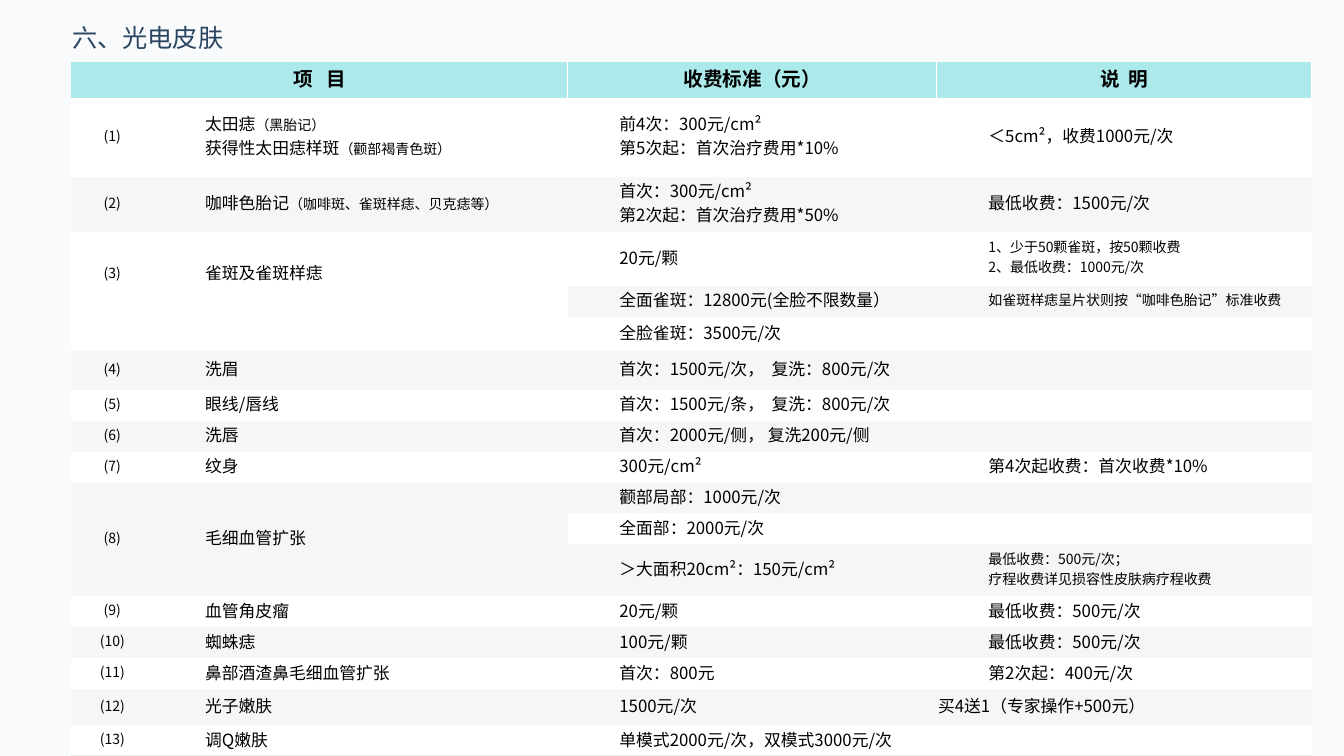
from lxml.etree import SubElement
from pptx import Presentation
from pptx.dml.color import RGBColor
from pptx.enum.text import MSO_ANCHOR as Anchor, PP_ALIGN as Align
from pptx.oxml.ns import qn
from pptx.util import Cm, Pt

COLORS = {"page": "F9FAFB", "title": "2B4663", "header": "ACE9EB", "ink": "000000",
          "white": "FFFFFF", "stripe": "F6F6F6", "bottom": "E5EEE4"}
LATIN, CHINESE = "Calibri", "Noto Sans CJK SC"
TITLE = "六、光电皮肤"
HEADERS = ["项   目", "", "收费标准（元）", "说  明"]
HEADER_HEIGHT = 0.89
COLUMN_WIDTHS = [2.08, 10.44, 9.3, 9.45]
ROWS = [
    (1.99, "(1)", "太田痣（黑胎记）\n获得性太田痣样斑（颧部褐青色斑）",
     "前4次：300元/cm²\n第5次起：首次治疗费用*10%", "＜5cm²，收费1000元/次"),
    (1.39, "(2)", "咖啡色胎记（咖啡斑、雀斑样痣、贝克痣等）",
     "首次：300元/cm²\n第2次起：首次治疗费用*50%", "最低收费：1500元/次"),
    (1.36, "(3)", "雀斑及雀斑样痣", "20元/颗", "1、少于50颗雀斑，按50颗收费\n2、最低收费：1000元/次"),
    (0.78, "", "", "全面雀斑：12800元(全脸不限数量）", "如雀斑样痣呈片状则按“咖啡色胎记”标准收费"),
    (0.86, "", "", "全脸雀斑：3500元/次", ""),
    (0.98, "(4)", "洗眉", "首次：1500元/次，  复洗：800元/次", ""),
    (0.78, "(5)", "眼线/唇线", "首次：1500元/条，  复洗：800元/次", ""),
    (0.78, "(6)", "洗唇", "首次：2000元/侧， 复洗200元/侧", ""),
    (0.78, "(7)", "纹身", "300元/cm²", "第4次起收费：首次收费*10%"),
    (0.78, "(8)", "毛细血管扩张", "颧部局部：1000元/次", ""),
    (0.78, "", "", "全面部：2000元/次", ""),
    (1.31, "", "", "＞大面积20cm²：150元/cm²", "最低收费：500元/次；\n疗程收费详见损容性皮肤病疗程收费"),
    (0.78, "(9)", "血管角皮瘤", "20元/颗", "最低收费：500元/次"),
    (0.78, "(10)", "蜘蛛痣", "100元/颗", "最低收费：500元/次"),
    (0.78, "(11)", "鼻部酒渣鼻毛细血管扩张", "首次：800元", "第2次起：400元/次"),
    (0.91, "(12)", "光子嫩肤", "1500元/次", "买4送1（专家操作+500元）"),
    (0.78, "(13)", "调Q嫩肤", "单模式2000元/次，双模式3000元/次", ""),
]
SMALL_NOTE_ROWS = {3, 4, 12}
FLUSH_NOTE_ROW = 16
MERGES = [(0, 0, 0, 1), (3, 0, 4, 0), (3, 1, 4, 1), (10, 0, 12, 0), (10, 1, 12, 1)]
NUMBER, NAME, PRICE, NOTE = range(4)
NO_STYLE = "{2D5ABB26-0587-4C30-8999-92F81FD0307C}"


def rgb(name):
    return RGBColor.from_string(COLORS[name])


def style_run(span, size, color, font, bold=False):
    span.font.size = Pt(size)
    span.font.name = font
    span.font.bold = bold
    span.font.color.rgb = rgb(color)
    east_asian = SubElement(span._r.get_or_add_rPr(), qn("a:ea"))
    east_asian.set("typeface", CHINESE)


def prepare_cell(cell, text, fill):
    cell.text_frame.text = text
    cell.vertical_anchor = Anchor.MIDDLE
    cell.margin_left = cell.margin_right = cell.margin_top = Cm(0.03)
    cell.margin_bottom = Cm(0.13)
    cell.fill.solid()
    cell.fill.fore_color.rgb = rgb(fill)
    if not text:
        cell.text_frame.paragraphs[0]._p.get_or_add_endParaRPr().set("sz", "1000")


def add_border(cell, side, color, width):
    line = SubElement(cell._tc.get_or_add_tcPr(), qn("a:" + side), w=str(Pt(width)))
    SubElement(SubElement(line, qn("a:solidFill")), qn("a:srgbClr"), val=COLORS[color])
    cell._tc.tcPr.insert(len(cell._tc.tcPr.findall(qn("a:lnL"))) if side == "lnR" else 0, line)


def fill_body_cell(cell, text, row, column):
    prepare_cell(cell, text, "white" if row % 2 else "stripe")
    small = column == NUMBER or (column == NOTE and row in SMALL_NOTE_ROWS)
    for para in cell.text_frame.paragraphs:
        if column == NUMBER:
            para.alignment = Align.CENTER
        else:
            flush = column == NOTE and row == FLUSH_NOTE_ROW
            para.level = 1
            para._p.get_or_add_pPr().set("marL", str(0 if flush else Cm(1.27)))
            para._p.pPr.set("indent", "0")
        head, bracket, detail = para.text.partition("（")
        if column == NAME and bracket:
            para.text = head
            para.add_run().text = bracket + detail
        for index, span in enumerate(para.runs):
            style_run(span, 10 if small or index else 12, "ink", CHINESE)


def add_price_table(page):
    heights = [HEADER_HEIGHT] + [row[0] for row in ROWS]
    frame = page.shapes.add_table(len(heights), len(COLUMN_WIDTHS), Cm(1.79), Cm(1.57),
                                  Cm(sum(COLUMN_WIDTHS)), Cm(sum(heights)))
    table = frame.table
    table.first_row = table.horz_banding = False
    table._tbl.tblPr.find(qn("a:tableStyleId")).text = NO_STYLE
    for column, width in zip(table.columns, COLUMN_WIDTHS):
        column.width = Cm(width)
    for row, height in zip(table.rows, heights):
        row.height = Cm(height)

    for column, label in enumerate(HEADERS):
        cell = table.cell(0, column)
        prepare_cell(cell, label, "header")
        para = cell.text_frame.paragraphs[0]
        para.alignment = Align.CENTER
        for span in para.runs:
            style_run(span, 14, "ink", LATIN, bold=True)
        if column >= PRICE:
            add_border(cell, "lnL", "white", 1)
        if column < NOTE:
            add_border(cell, "lnR", "white", 1)

    for row, (_, *texts) in enumerate(ROWS, 1):
        for column, text in enumerate(texts):
            fill_body_cell(table.cell(row, column), text, row, column)
    for column in range(len(COLUMN_WIDTHS)):
        add_border(table.cell(len(ROWS), column), "lnB", "bottom", 3)
    for top, left, bottom, right in MERGES:
        table.cell(top, left).merge(table.cell(bottom, right))


def add_title(page):
    box = page.shapes.add_textbox(Cm(1.57), Cm(0.03), Cm(29.2), Cm(1.93))
    box.text_frame.word_wrap = True
    box.text_frame.vertical_anchor = Anchor.MIDDLE
    box.text_frame.text = TITLE
    para = box.text_frame.paragraphs[0]
    para.line_spacing = 0.9
    style_run(para.runs[0], 18, "title", LATIN)


def main():
    deck = Presentation()
    deck.slide_width, deck.slide_height = Cm(33.87), Cm(19.05)
    page = deck.slides.add_slide(deck.slide_layouts[6])
    page.background.fill.solid()
    page.background.fill.fore_color.rgb = rgb("page")
    add_price_table(page)
    add_title(page)
    deck.save("out.pptx")


if __name__ == "__main__":
    main()
